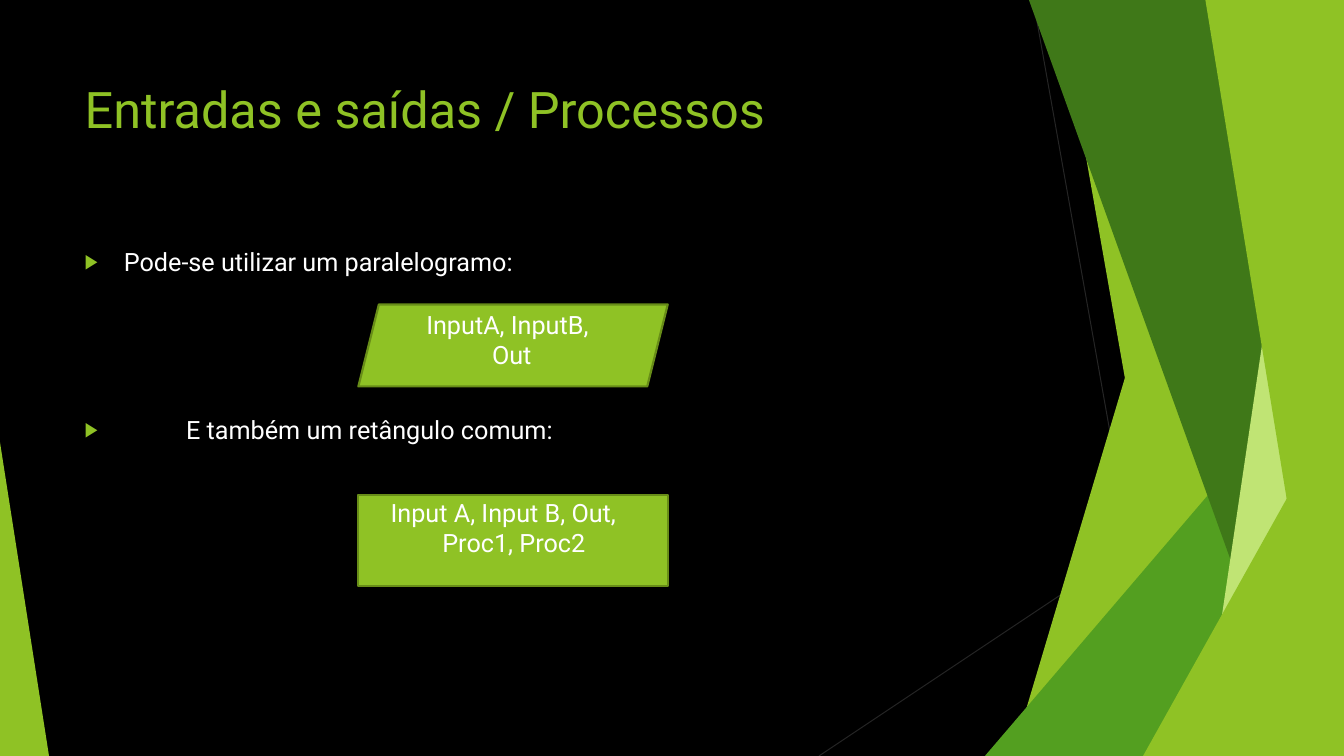
from pptx import Presentation
from pptx.util import Pt
from pptx.dml.color import RGBColor
from pptx.enum.shapes import MSO_SHAPE as SHAPE, MSO_CONNECTOR as CONN
from pptx.enum.text import MSO_ANCHOR as ANCHOR, MSO_AUTO_SIZE as FIT, PP_ALIGN as ALIGN
from pptx.oxml import parse_xml
from pptx.oxml.ns import nsdecls
from lxml import etree

BLACK = RGBColor(0x00, 0x00, 0x00)
WHITE = RGBColor(0xFF, 0xFF, 0xFF)
GREY = RGBColor(0x25, 0x25, 0x25)
LIME = RGBColor(0x8F, 0xC2, 0x25)
GREEN = RGBColor(0x53, 0x9F, 0x20)
FOREST = RGBColor(0x3F, 0x78, 0x18)
PALE = RGBColor(0xC0, 0xE4, 0x74)
OLIVE = RGBColor(0x68, 0x8D, 0x18)
FONT = "Roboto"
W, H = 960, 540


def place(sp, box):
    sp.left, sp.top, sp.width, sp.height = (Pt(v) for v in box)


def format_frame(tf, top=0, right=0):
    values = dict(margin_left=0, margin_right=Pt(right), margin_top=Pt(top), margin_bottom=0,
                  word_wrap=True, auto_size=FIT.NONE, vertical_anchor=ANCHOR.TOP)
    for name, value in values.items():
        setattr(tf, name, value)


def write(p, text, size, color, before=0, margin=0, indent=0):
    r = p.add_run()
    r.text = text
    for name, value in dict(name=FONT, size=Pt(size)).items():
        setattr(r.font, name, value)
    r.font.color.rgb = color
    for name, value in dict(alignment=ALIGN.LEFT, space_before=Pt(before), line_spacing=1.0).items():
        setattr(p, name, value)
    pPr = p._p.get_or_add_pPr()
    pPr.set("marL", str(Pt(margin)))
    pPr.set("indent", str(Pt(indent)))
    return pPr


def add_polygon(s, points, color):
    builder = s.shapes.build_freeform(Pt(points[0][0]), Pt(points[0][1]), scale=1.0)
    builder.add_line_segments([(Pt(x), Pt(y)) for x, y in points[1:]])
    sp = builder.convert_to_shape()
    sp.shadow.inherit = False
    sp.fill.solid()
    sp.fill.fore_color.rgb = color
    sp.line.fill.background()


def add_hairline(s, x1, y1, x2, y2):
    line = s.shapes.add_connector(CONN.STRAIGHT, Pt(x1), Pt(y1), Pt(x2), Pt(y2))
    line.line.color.rgb = GREY
    line.line.width = Pt(0.71)
    etree.SubElement(line._element.spPr, "{http://schemas.openxmlformats.org/drawingml/2006/main}effectLst")


def add_facets(s, box):
    """Overlapping bands that all reach the right edge of the box."""
    x, y, w, h = box
    right, bottom = x + w, y + h
    add_hairline(s, x + 153, y, x + 249, bottom)
    add_hairline(s, right, y + 290, x, bottom)
    # Each band: left edge from (x, y) down to the bottom at x, then colour
    bands = [(299, 0, 138, LIME), (171, 0, 266, LIME), (w, 240, 118.5, GREEN),
             (150, 0, 344.5, FOREST), (353, 0, 273, PALE), (276, 0, 364, LIME),
             (w, 283, 231.5, LIME)]
    for start_x, start_y, end_x, color in bands:
        points = [(x + start_x, y + start_y), (x + end_x, bottom), (right, bottom)]
        if start_x < w:
            points.append((right, y))
        add_polygon(s, points, color)


def add_wedge(s, box):
    x, y, w, h = box
    add_polygon(s, [(x, y), (x, y + h), (x + w, y + h)], LIME)


def add_title(s, box, text):
    title = s.shapes.title
    place(title, box)
    format_frame(title.text_frame)
    write(title.text_frame.paragraphs[0], text, 36, LIME)


def add_bullets(s, box, items):
    body = s.placeholders[1]
    place(body, box)
    tf = body.text_frame
    format_frame(tf)
    for i, (text, before, margin) in enumerate(items):
        p = tf.paragraphs[0] if i == 0 else tf.add_paragraph()
        pPr = write(p, text, 18, WHITE, before, margin, -margin)
        for xml in (f'<a:buClr {nsdecls("a")}><a:srgbClr val="{LIME}"/></a:buClr>',
                    f'<a:buSzPct {nsdecls("a")} val="80000"/>',
                    f'<a:buFont {nsdecls("a")} typeface="Arial"/>',
                    f'<a:buChar {nsdecls("a")} char="▶"/>'):
            pPr.append(parse_xml(xml))


def add_symbol(s, box, kind, text, top, right, margin, indent):
    sp = s.shapes.add_shape(kind, *(Pt(v) for v in box))
    sp.shadow.inherit = False
    sp.fill.solid()
    sp.fill.fore_color.rgb = LIME
    sp.line.color.rgb = OLIVE
    sp.line.width = Pt(1.56)
    format_frame(sp.text_frame, top, right)
    write(sp.text_frame.paragraphs[0], text, 18, WHITE, margin=margin, indent=indent)


prs = Presentation()
prs.slide_width, prs.slide_height = Pt(W), Pt(H)
s = prs.slides.add_slide(prs.slide_layouts[1])
s.background.fill.solid()
s.background.fill.fore_color.rgb = BLACK

# Decoration
add_facets(s, (585, 0, 375, H))
add_wedge(s, (0, 316, 35, 224))

# Title and list
add_title(s, (60.5, 56, 841, 90), "Entradas e saídas / Processos")
add_bullets(s, (60.5, 176, 370, 172), [("Pode-se utilizar um paralelogramo:", 0, 28),
                                       ("E também um retângulo comum:", 98.5, 72.5)])

# Flowchart symbols
add_symbol(s, (256, 217.5, 221, 58.5), SHAPE.PARALLELOGRAM, "InputA, InputB, Out", -3, 15, 71, -47)
add_symbol(s, (256, 353.5, 221, 65), SHAPE.RECTANGLE, "Input A, Input B, Out, Proc1, Proc2", 1.5, 0, 60, -37)

prs.save("out.pptx")
